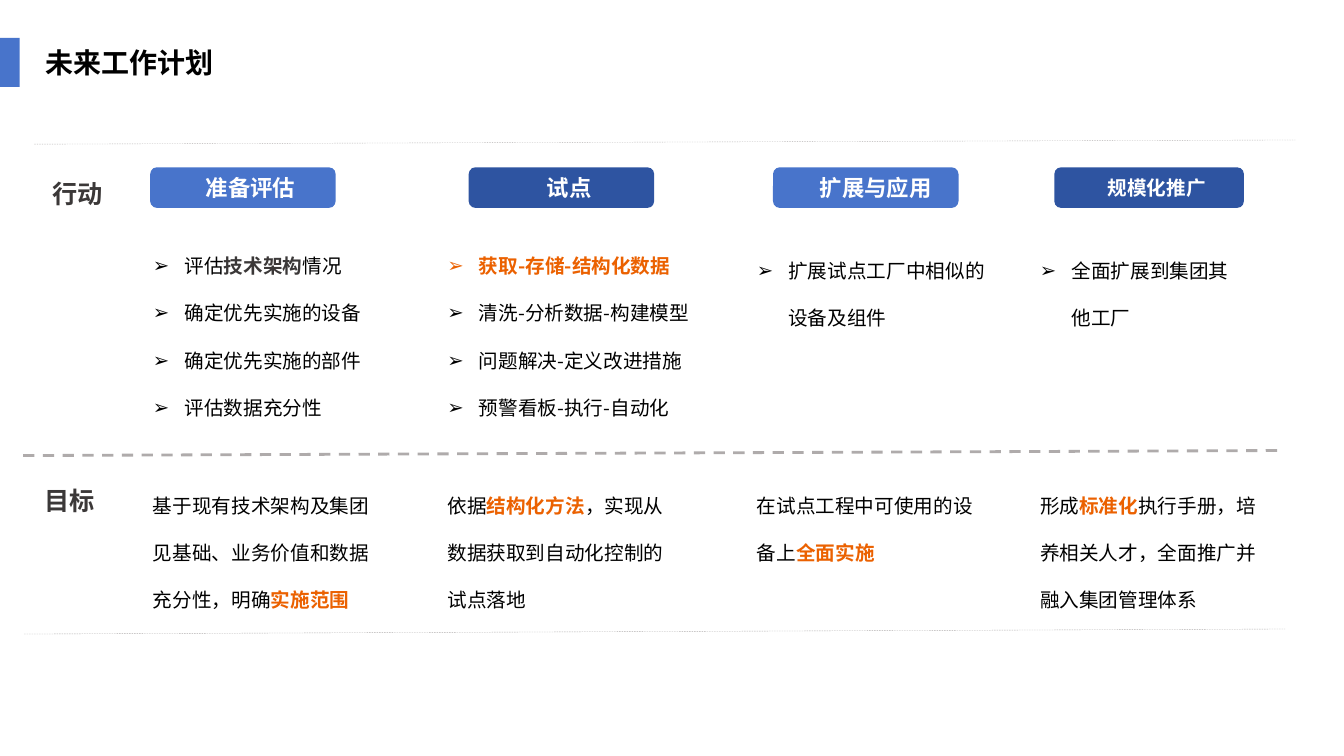
from lxml.etree import SubElement
from pptx import Presentation
from pptx.dml.color import RGBColor
from pptx.enum.dml import MSO_LINE
from pptx.enum.shapes import MSO_CONNECTOR, MSO_SHAPE
from pptx.enum.text import MSO_ANCHOR, MSO_AUTO_SIZE, PP_ALIGN
from pptx.oxml.ns import qn
from pptx.util import Pt

HUES = {
    "blue": "4874CB", "navy": "2E54A1", "orange": "EB6100", "gray": "3B3838",
    "rule": "AFABAB", "black": "000000", "white": "FFFFFF",
}
SANS = "Noto Sans CJK SC"


def tone(name):
    return RGBColor.from_string(HUES[name])


class Board:
    """Holds the slide in work and the style of its elements."""

    def __init__(self, slide):
        self.slide = slide
        self.shapes = slide.shapes

    def style(self, para, size, hue, bold=False, face=SANS):
        font = para.font
        font.size, font.bold, font.name = Pt(size), bold, face
        font.color.rgb = tone(hue)
        latin = para._p.pPr.find(qn("a:defRPr")).find(qn("a:latin"))
        asian = latin.makeelement(qn("a:ea"), {"typeface": SANS})
        latin.addnext(asian)

    def title(self, text, x, y, w, h):
        box = self.shapes.title
        box.left, box.top, box.width, box.height = Pt(x), Pt(y), Pt(w), Pt(h)
        frame = box.text_frame
        frame.text = text
        frame.auto_size = MSO_AUTO_SIZE.NONE
        frame.vertical_anchor = MSO_ANCHOR.TOP
        para = frame.paragraphs[0]
        para.alignment = PP_ALIGN.LEFT
        self.style(para, 20, "black", True, "Arial")

    def block(self, kind, x, y, w, h, hue):
        shape = self.shapes.add_shape(kind, Pt(x), Pt(y), Pt(w), Pt(h))
        shape.shadow.inherit = False
        shape.fill.solid()
        shape.fill.fore_color.rgb = tone(hue)
        shape.line.fill.background()
        return shape

    def button(self, text, x, w, hue, size, inset):
        shape = self.block(MSO_SHAPE.ROUNDED_RECTANGLE, x, 119.5, w, 29, hue)
        frame = shape.text_frame
        frame.margin_left = Pt(inset)
        frame.vertical_anchor = MSO_ANCHOR.MIDDLE
        para = frame.paragraphs[0]
        para.text = text
        para.alignment = PP_ALIGN.CENTER
        self.style(para, size, "white", True)

    def frame(self, x, y, w, h):
        box = self.shapes.add_textbox(Pt(x), Pt(y), Pt(w), Pt(h))
        box.text_frame.word_wrap = True
        box.text_frame.auto_size = MSO_AUTO_SIZE.SHAPE_TO_FIT_TEXT
        return box.text_frame

    def label(self, text, x, y):
        para = self.frame(x, y, 57, 29).paragraphs[0]
        para.text = text
        self.style(para, 18, "gray", True)

    def body(self, items, x, y, w, bullet=False):
        """Each item is a list of runs: plain text, or (text, hue) for bold."""
        frame = self.frame(x, y, w, 34 * len(items) + 7)
        for i, runs in enumerate(items):
            para = frame.add_paragraph() if i else frame.paragraphs[0]
            para.line_spacing = 2.0
            if bullet:
                props = para._p.get_or_add_pPr()
                props.set("marL", str(Pt(22.5)))
                props.set("indent", str(-Pt(22.5)))
                SubElement(props, qn("a:buFont"), typeface="Arial")
                SubElement(props, qn("a:buChar"), char="➢")
            strong = len(runs) == 1 and isinstance(runs[0], tuple)
            self.style(para, 14, runs[0][1] if strong else "black", strong)
            for part in runs:
                run = para.add_run()
                if strong or isinstance(part, str):
                    run.text = part[0] if strong else part
                else:
                    run.text = part[0]
                    run.font.bold = True
                    run.font.color.rgb = tone(part[1])

    def rule(self, x, y, drop, width):
        line = self.shapes.add_connector(
            MSO_CONNECTOR.STRAIGHT, Pt(x), Pt(y), Pt(x + 900.7), Pt(y - drop))
        line.line.color.rgb = tone("rule")
        line.line.width = Pt(width)
        line.line.dash_style = MSO_LINE.DASH
        SubElement(line._element.spPr, qn("a:effectLst"))


# Button: text, left, width, hue, size, left inset
STEPS = [
    ("准备评估", 107.3, 132.5, "blue", 16, 18),
    ("试点", 334.8, 132.5, "navy", 16, 18),
    ("扩展与应用", 552.2, 132.5, "blue", 16, 21.5),
    ("规模化推广", 753.1, 135.4, "navy", 14, 18),
]
# Column: left, top of actions, width of actions, actions, goal
PLANS = [
    (102.2, 161.3, 182,
     [["评估", ("技术架构", "gray"), "情况"], ["确定优先实施的设备"],
      ["确定优先实施的部件"], ["评估数据充分性"]],
     ["基于现有技术架构及集团见基础、业务价值和数据充分性，明确",
      ("实施范围", "orange")]),
    (312.5, 161.3, 212,
     [[("获取-存储-结构化数据", "orange")], ["清洗-分析数据-构建模型"],
      ["问题解决-定义改进措施"], ["预警看板-执行-自动化"]],
     ["依据", ("结构化方法", "orange"),
      "，实现从数据获取到自动化控制的试点落地"]),
    (533.5, 164.9, 182, [["扩展试点工厂中相似的设备及组件"]],
     ["在试点工程中可使用的设备上", ("全面实施", "orange")]),
    (735.8, 164.9, 152, [["全面扩展到集团其他工厂"]],
     ["形成", ("标准化", "orange"),
      "执行手册，培养相关人才，全面推广并融入集团管理体系"]),
]


def main():
    deck = Presentation()
    deck.slide_width, deck.slide_height = Pt(960), Pt(540)
    board = Board(deck.slides.add_slide(deck.slide_layouts[5]))
    board.block(MSO_SHAPE.RECTANGLE, 0, 27, 14, 35, "blue")
    board.title("未来工作计划", 25.5, 28.8, 395, 31.5)
    for step in STEPS:
        board.button(*step)
    for x, y, w, tasks, goal in PLANS:
        board.body(tasks, x, y, w, bullet=True)
        board.body([goal], x, 332.6, 182)
    board.label("行动", 30.2, 123.8)
    board.label("目标", 24.5, 343.4)
    board.rule(24.5, 103, 3, 0.25)
    board.rule(16.6, 325.4, 3.6, 0)
    board.rule(17.3, 452.9, 3.6, 0.25)
    deck.save("out.pptx")


if __name__ == "__main__":
    main()
